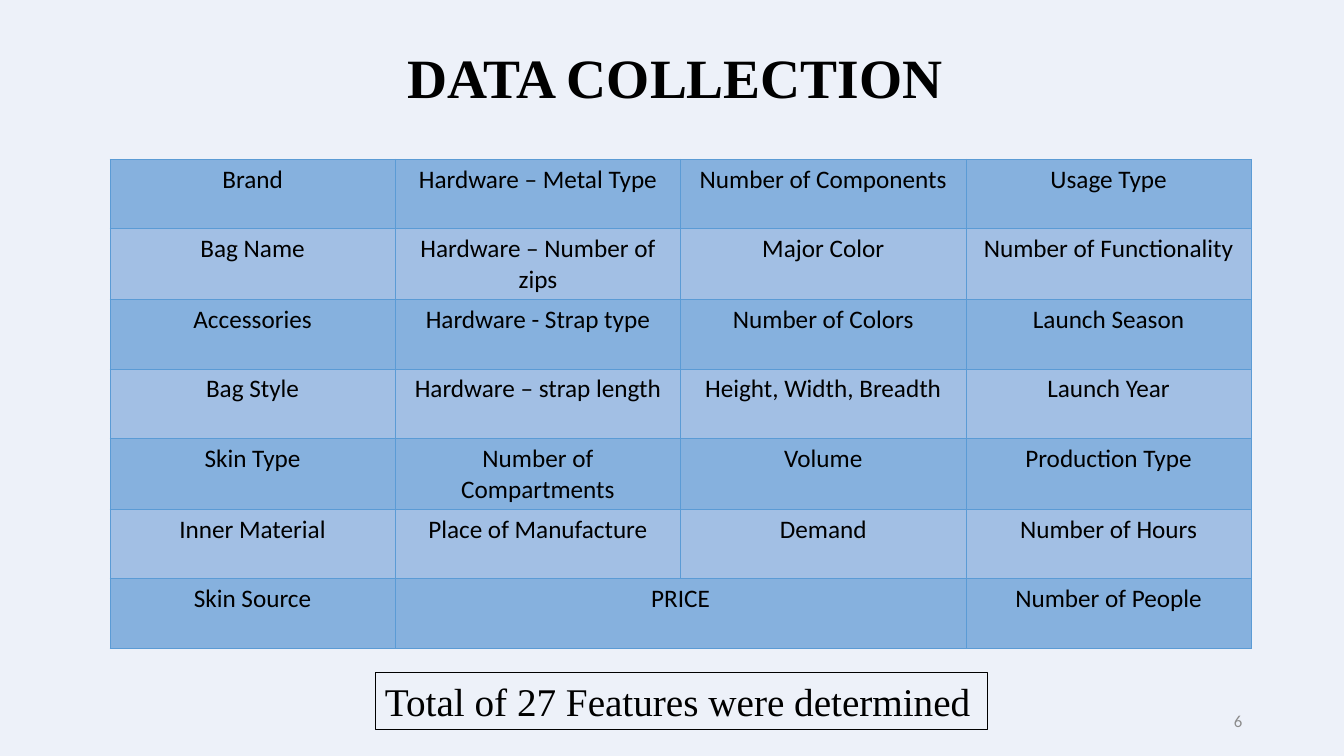
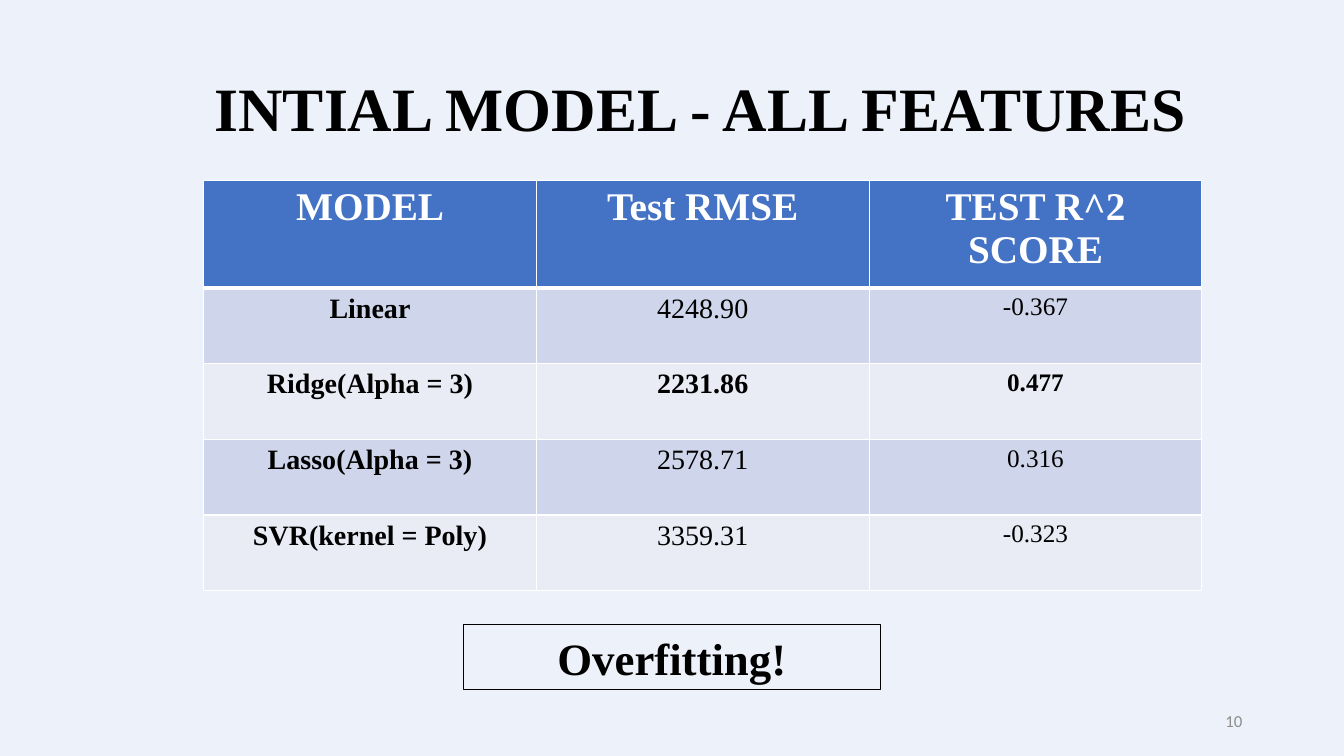
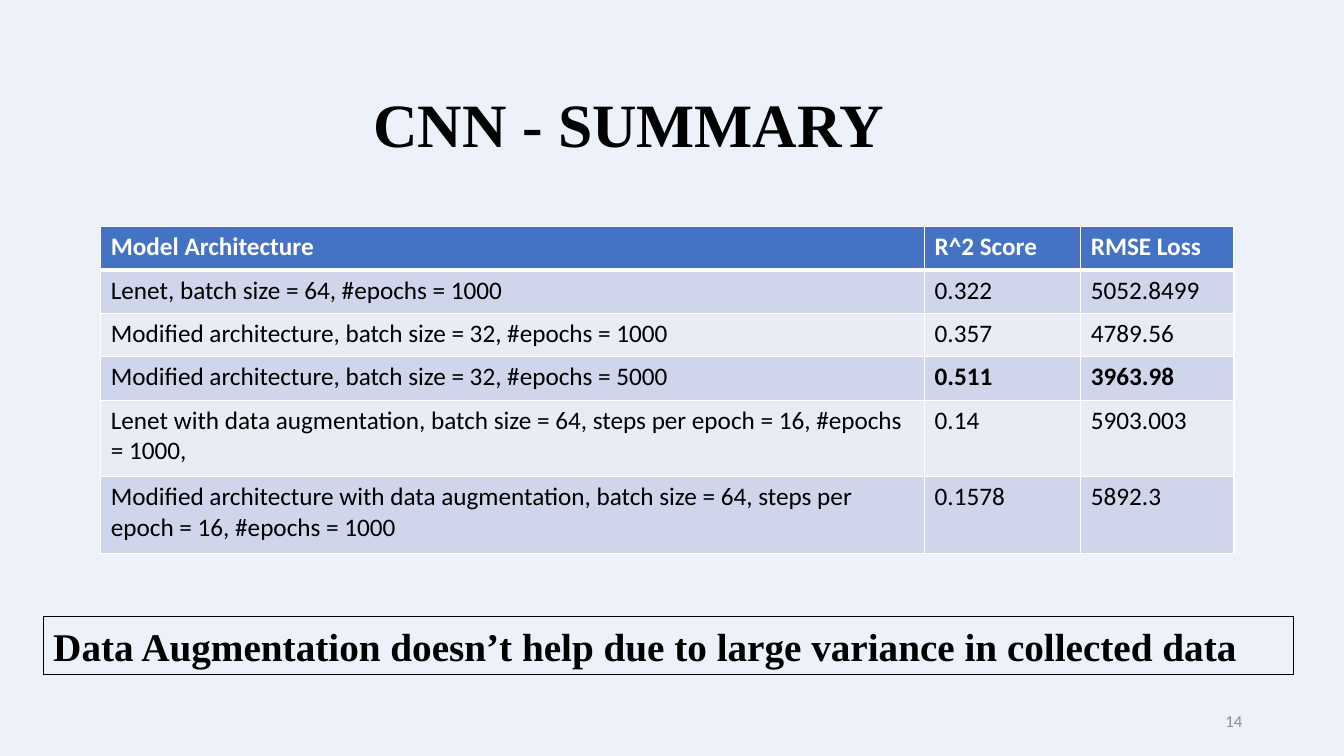
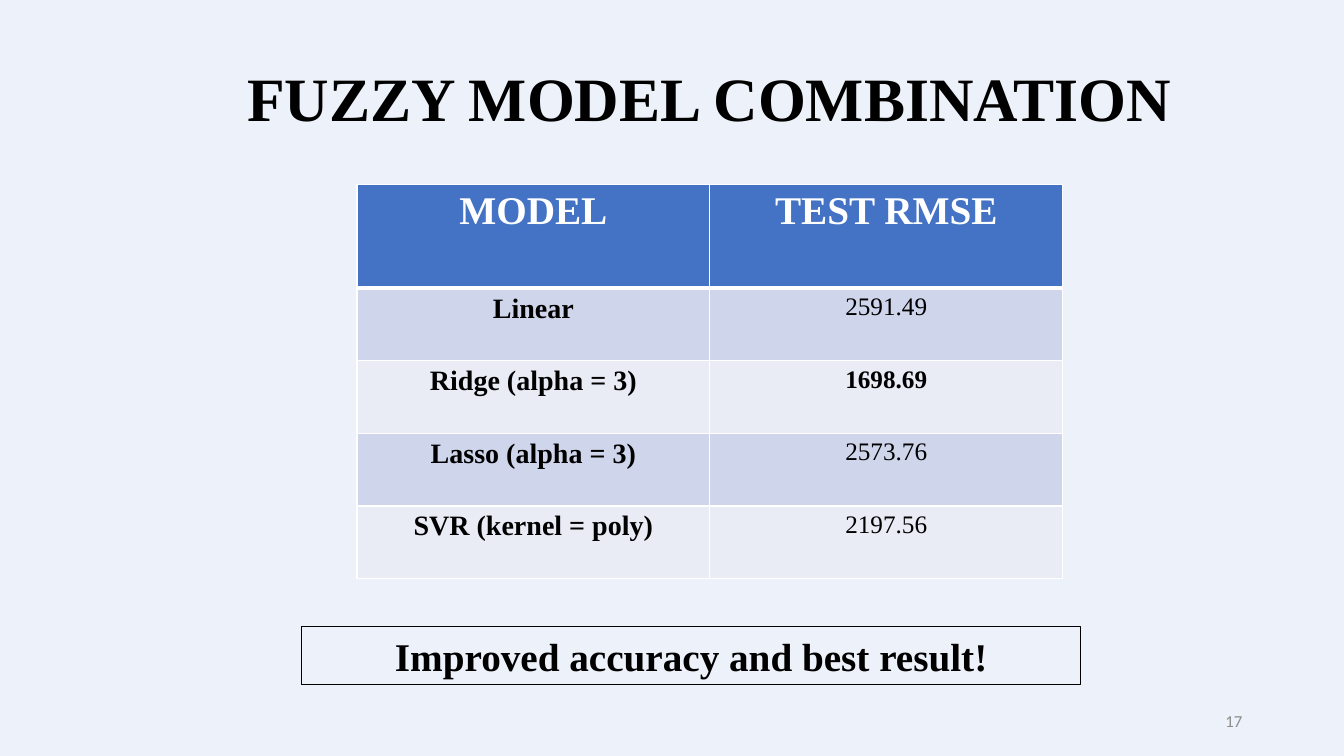
import pptx
import pptx.util
import pptx.dml.color
import pptx.enum.shapes
import pptx.enum.text
import pptx.oxml.ns
from lxml import etree

Inches = pptx.util.Inches
Pt = pptx.util.Pt
Align = pptx.enum.text.PP_ALIGN
Anchor = pptx.enum.text.MSO_ANCHOR

HUES = {
    "page": "EDF1F9", "ink": "000000", "gray": "8C8C8C", "white": "FFFFFF",
    "head": "4472C4", "odd": "CFD5EA", "even": "E9EBF5",
    "sky": "86B1DE", "pale": "A2BFE4", "rim": "5B9BD5",
}
SERIF, SANS = "Times New Roman", "Calibri"


def rgb(hue):
    return pptx.dml.color.RGBColor.from_string(HUES[hue])


class Deck:
    def __init__(self):
        self.prs = pptx.Presentation()
        self.prs.slide_width = Inches(13.33)
        self.prs.slide_height = Inches(7.5)
        fill = self.prs.slide_master.background.fill
        fill.solid()
        fill.fore_color.rgb = rgb("page")
        self.slide = None

    def page(self, num):
        """Start a slide and put its number in the footer."""
        self.slide = self.prs.slides.add_slide(self.prs.slide_layouts[6])
        box = self.slide.shapes.add_textbox(*map(Inches, (9.42, 6.95, 3, 0.4)))
        self.label(box.text_frame, str(num), 12, SANS, hue="gray",
                   align=Align.RIGHT)

    def label(self, frame, text, size, face=SERIF, bold=False, hue="ink",
              align=Align.LEFT):
        frame.word_wrap = True
        frame.vertical_anchor = Anchor.MIDDLE
        para = frame.paragraphs[0]
        para.text = text
        para.alignment = align
        font = para.font
        font.size, font.name, font.bold = Pt(size), face, bold
        font.color.rgb = rgb(hue)
        return para

    def title(self, text, area, size=44, align=Align.CENTER):
        box = self.slide.shapes.add_textbox(*map(Inches, area))
        para = self.label(box.text_frame, text, size, bold=True, align=align)
        para.line_spacing = 0.9

    def note(self, text, area, size=28, bold=True, align=Align.CENTER):
        """Add the outlined remark below the table."""
        box = self.slide.shapes.add_shape(
            pptx.enum.shapes.MSO_SHAPE.RECTANGLE, *map(Inches, area))
        box.shadow.inherit = False
        box.fill.background()
        box.line.color.rgb = rgb("ink")
        box.line.width = Pt(0.75)
        self.label(box.text_frame, text, size, bold=bold, align=align)

    def edge(self, cell, hue, widths):
        """Draw the left, right, top and bottom borders, widths in points."""
        props = cell._tc.get_or_add_tcPr()
        for spot, (side, width) in enumerate(zip("LRTB", widths)):
            line = etree.Element(pptx.oxml.ns.qn("a:ln" + side),
                                 w=str(int(Pt(width))))
            fill = etree.SubElement(line, pptx.oxml.ns.qn("a:solidFill"))
            etree.SubElement(fill, pptx.oxml.ns.qn("a:srgbClr"),
                             val=HUES[hue])
            props.insert(spot, line)

    def grid(self, rows, left, top, cols, highs, sizes, face=SERIF,
             align=Align.CENTER, head=None, keys=False, best=None,
             bands=("even", "odd"), rim="white", thin=1):
        """Add a table; head is the header size, keys makes column 0 bold,
        best is the row with bold values, None joins a cell to its left."""
        table = self.slide.shapes.add_table(
            len(rows), len(cols), Inches(left), Inches(top),
            Inches(sum(cols)), Inches(sum(highs))).table
        table.first_row = head is not None
        table.horz_banding = False
        for col, wide in zip(table.columns, cols):
            col.width = Inches(wide)
        for row, high in zip(table.rows, highs):
            row.height = Inches(high)
        for r, row in enumerate(rows):
            top_row = head is not None and r == 0
            for c, text in enumerate(row):
                cell = table.cell(r, c)
                cell.fill.solid()
                cell.fill.fore_color.rgb = rgb(
                    "head" if top_row else bands[r % 2])
                self.edge(cell, rim, (
                    thin, thin, 3 if head and r == 1 else thin,
                    3 if top_row else thin))
                if text is None:
                    table.cell(r, c - 1).merge(cell)
                    continue
                bold = top_row or (keys if c == 0 else r == best)
                self.label(cell.text_frame, text,
                           head if top_row else sizes[c], face, bold,
                           "white" if top_row else "ink", align)
                cell.vertical_anchor = Anchor.TOP


def main():
    deck = Deck()

    deck.page(6)
    deck.title("DATA COLLECTION", (3.94, 0.36, 5.62, 0.88), 39.6, Align.LEFT)
    deck.grid([
        ("Brand", "Hardware – Metal Type", "Number of Components",
         "Usage Type"),
        ("Bag Name", "Hardware – Number of zips", "Major Color",
         "Number of Functionality"),
        ("Accessories", "Hardware - Strap type", "Number of Colors",
         "Launch Season"),
        ("Bag Style", "Hardware – strap length", "Height, Width, Breadth",
         "Launch Year"),
        ("Skin Type", "Number of Compartments", "Volume", "Production Type"),
        ("Inner Material", "Place of Manufacture", "Demand",
         "Number of Hours"),
        ("Skin Source", "PRICE", None, "Number of People"),
    ], 1.09, 1.58, [2.83] * 4, [0.69] * 7, [18] * 4, SANS,
        bands=("sky", "pale"), rim="rim", thin=0.5)
    deck.note("Total of 27 Features were determined",
              (3.72, 6.67, 6.07, 0.57), bold=False, align=Align.LEFT)

    deck.page(10)
    deck.title("INTIAL MODEL - ALL FEATURES", (2.03, 0.3, 10.27, 1.62),
               align=Align.LEFT)
    deck.grid([
        ("MODEL", "Test RMSE", "TEST R^2 SCORE"),
        ("Linear", "4248.90", "-0.367"),
        ("Ridge(Alpha = 3)", "2231.86", "0.477"),
        ("Lasso(Alpha = 3)", "2578.71", "0.316"),
        ("SVR(kernel = Poly)", "3359.31", "-0.323"),
    ], 2.02, 1.79, [3.3] * 3, [1.07] + [0.75] * 4, [20, 20, 18],
        head=28, keys=True, best=2)
    deck.note("Overfitting!", (4.6, 6.2, 4.13, 0.64), 32)

    deck.page(14)
    deck.title("CNN - SUMMARY", (0.49, 0.54, 11.5, 1.45))
    deck.grid([
        ("Model Architecture", "R^2 Score", "RMSE Loss"),
        ("Lenet, batch size = 64, #epochs = 1000", "0.322", "5052.8499"),
        ("Modified architecture, batch size = 32, #epochs = 1000",
         "0.357", "4789.56"),
        ("Modified architecture, batch size = 32, #epochs = 5000",
         "0.511", "3963.98"),
        ("Lenet with data augmentation, batch size = 64, "
         "steps per epoch = 16, #epochs = 1000,", "0.14", "5903.003"),
        ("Modified architecture with data augmentation, batch size = 64, "
         "steps per epoch = 16, #epochs = 1000", "0.1578", "5892.3"),
    ], 1, 2.25, [8.17, 1.55, 1.52], [0.43] * 4 + [0.76] * 2, [18] * 3,
        SANS, Align.LEFT, head=18, best=3)
    deck.note("Data Augmentation doesn’t help due to large variance in "
              "collected data", (0.43, 6.12, 12.4, 0.57), align=Align.LEFT)

    deck.page(17)
    deck.title("FUZZY MODEL COMBINATION", (1.79, 0.2, 10.5, 1.62))
    deck.grid([
        ("MODEL", "TEST RMSE"),
        ("Linear", "2591.49"),
        ("Ridge (alpha = 3)", "1698.69"),
        ("Lasso (alpha = 3)", "2573.76"),
        ("SVR (kernel = poly)", "2197.56"),
    ], 3.54, 1.83, [3.5] * 2, [1.03] + [0.72] * 4, [20, 18],
        head=28, keys=True, best=2)
    deck.note("Improved accuracy and best result!", (2.99, 6.22, 7.73, 0.57))

    deck.prs.save("out.pptx")


if __name__ == "__main__":
    main()
